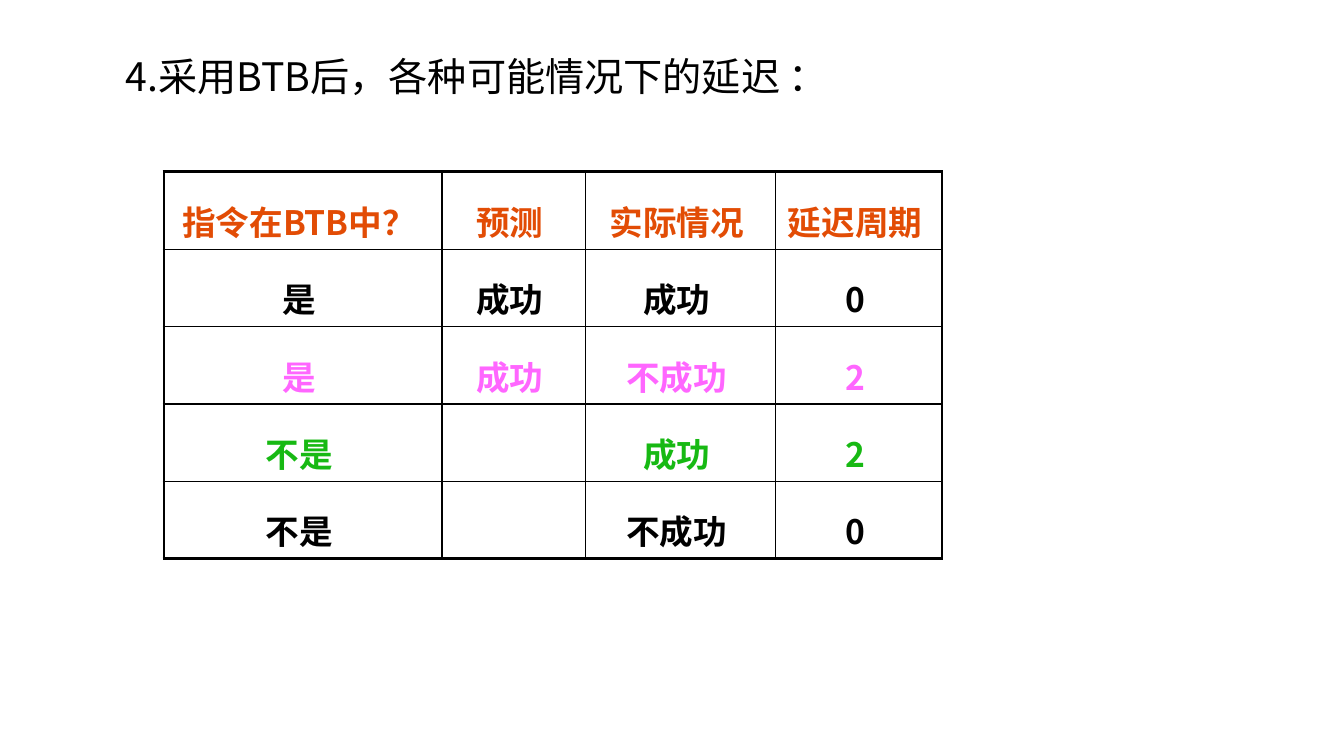
from lxml import etree
from pptx import Presentation, util as u
from pptx.dml.color import RGBColor
from pptx.enum import text
from pptx.oxml.ns import qn


def rgb(value):
    return RGBColor.from_string(value)


class SlideBuilder:
    font = "Noto Sans CJK SC"
    black = "000000"
    thin, thick = 1, 2.25

    def __init__(self, s):
        self.s = s

    def style(self, p, size, color, bold, spacing):
        p.line_spacing = spacing
        for r in p.runs:
            r.font.name = self.font
            r.font.size = u.Pt(size)
            r.font.bold = bold
            r.font.color.rgb = rgb(color)
            etree.SubElement(r._r.get_or_add_rPr(), qn("a:ea"), typeface=self.font)

    def title(self, words, left, top, width, height):
        sp = self.s.shapes.add_textbox(u.Cm(left), u.Cm(top), u.Cm(width), u.Cm(height))
        tf = sp.text_frame
        tf.word_wrap = True
        tf.margin_top = 0
        tf.text = words
        self.style(tf.paragraphs[0], 28, self.black, False, 0.9)

    def border(self, cell, side, width):
        line = etree.SubElement(cell._tc.get_or_add_tcPr(), qn(f"a:ln{side}"), w=str(u.Pt(width)))
        fill = etree.SubElement(line, qn("a:solidFill"))
        etree.SubElement(fill, qn("a:srgbClr"), val=self.black)

    def cell(self, cell, words, color, outer):
        for side, is_outer in outer.items():
            self.border(cell, side, self.thick if is_outer else self.thin)
        cell.fill.background()
        if words:
            cell.text = words + " "
            p = cell.text_frame.paragraphs[0]
            p.alignment = text.PP_ALIGN.CENTER
            self.style(p, 24, color, True, 1.4)

    def table(self, rows, colors, left, top, widths, row_height):
        last_row, last_col = len(rows) - 1, len(widths) - 1
        frame = self.s.shapes.add_table(
            len(rows), len(widths), u.Cm(left), u.Cm(top),
            u.Cm(sum(widths)), u.Cm(row_height * len(rows)))
        table = frame.table
        table.first_row = table.horz_banding = False
        for column, width in zip(table.columns, widths):
            column.width = u.Cm(width)
        for i, (row, color) in enumerate(zip(rows, colors)):
            table.rows[i].height = u.Cm(row_height)
            for j, words in enumerate(row):
                outer = {"L": j == 0, "R": j == last_col, "T": i == 0, "B": i == last_row}
                self.cell(table.cell(i, j), words, color, outer)


def main():
    prs = Presentation()
    prs.slide_width, prs.slide_height = u.Cm(33.87), u.Cm(19.05)
    slide = SlideBuilder(prs.slides.add_slide(prs.slide_layouts[6]))
    slide.title("4.采用BTB后，各种可能情况下的延迟 ：", 2.92, 1.45, 22, 2.34)
    delays = [
        ["指令在BTB中？", "预测", "实际情况", "延迟周期"],
        ["是", "成功", "成功", "0"],
        ["是", "成功", "不成功", "2"],
        ["不是", "", "成功", "2"],
        ["不是", "", "不成功", "0"],
    ]
    colors = ["E24C05", "000000", "FF66FF", "17B913", "000000"]
    slide.table(delays, colors, 4.13, 4.33, [7.01, 3.61, 4.8, 4.19], 1.95)
    prs.save("out.pptx")


if __name__ == "__main__":
    main()
